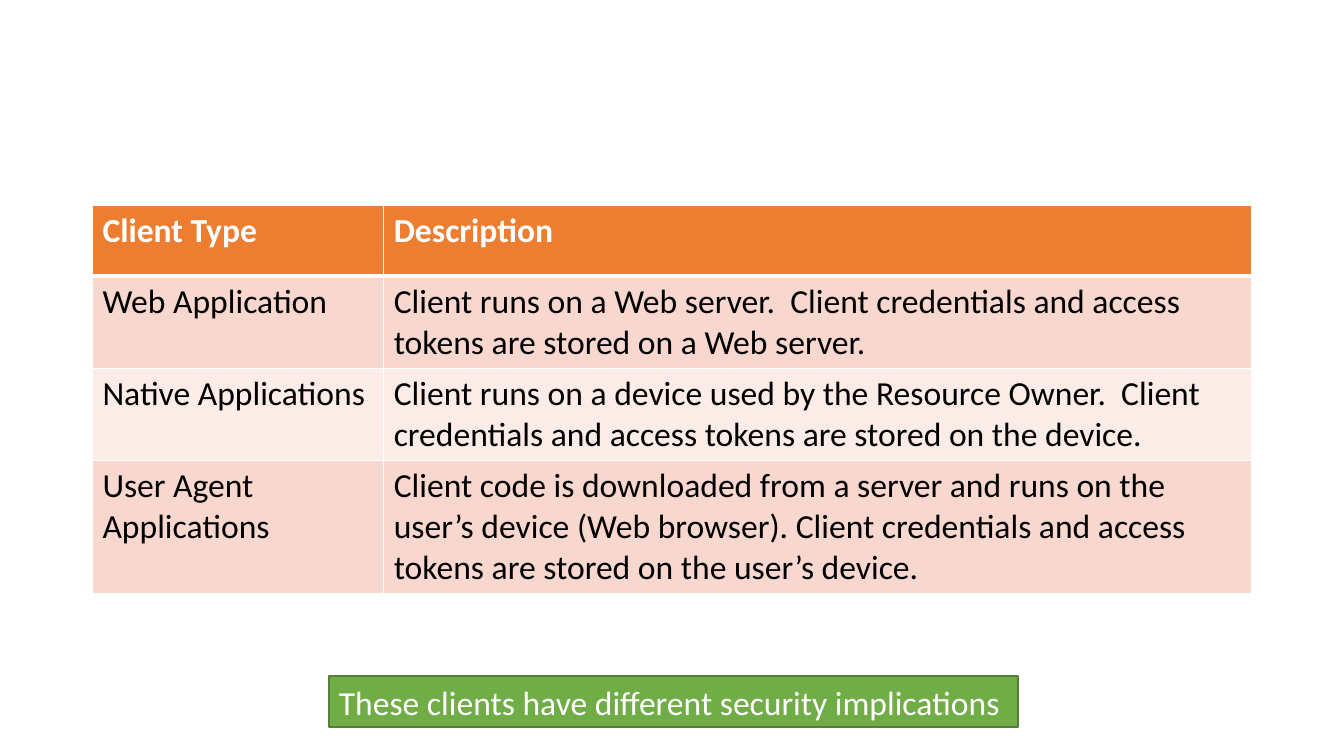
from lxml.etree import SubElement
from pptx import Presentation
from pptx.dml.color import RGBColor
from pptx.enum.shapes import MSO_SHAPE as Shape
from pptx.enum.text import MSO_ANCHOR as Anchor, PP_ALIGN as Align
from pptx.oxml.ns import qn
from pptx.util import Cm, Pt

WHITE = RGBColor(0xFF, 0xFF, 0xFF)
BLACK = RGBColor(0x00, 0x00, 0x00)
ORANGE = RGBColor(0xED, 0x7D, 0x31)
ROSE = RGBColor(0xF8, 0xD7, 0xCE)
PALE_ROSE = RGBColor(0xFC, 0xEC, 0xE8)
GREEN = RGBColor(0x70, 0xAD, 0x47)
DARK_GREEN = RGBColor(0x53, 0x80, 0x35)

CLIENT_TYPES = [
    ("Client Type", "Description"),
    ("Web Application",
     "Client runs on a Web server.  Client credentials and access tokens "
     "are stored on a Web server."),
    ("Native Applications",
     "Client runs on a device used by the Resource Owner.  Client "
     "credentials and access tokens are stored on the device."),
    ("User Agent Applications",
     "Client code is downloaded from a server and runs on the user’s device "
     "(Web browser). Client credentials and access tokens are stored on the "
     "user’s device."),
]


def write(frame, text, color=BLACK, bold=False, size=24, font="Calibri"):
    frame.word_wrap = True
    paragraph = frame.paragraphs[0]
    paragraph.alignment = Align.LEFT
    run = paragraph.add_run()
    run.text = text
    run.font.name = font
    run.font.size = Pt(size)
    run.font.bold = bold
    run.font.color.rgb = color


def set_borders(cell, **widths):
    """Draw white borders; widths in points by side, in the order L, R, T, B."""
    properties = cell._tc.get_or_add_tcPr()
    for side, width in widths.items():
        line = SubElement(properties, qn(f"a:ln{side}"), w=str(Pt(width)))
        fill = SubElement(line, qn("a:solidFill"))
        SubElement(fill, qn("a:srgbClr"), val=str(WHITE))


class ClientSlide:
    def __init__(self, presentation):
        self.slide = presentation.slides.add_slide(presentation.slide_layouts[6])

    def table(self, rows, left, top, widths, heights, height):
        frame = self.slide.shapes.add_table(
            len(rows), len(widths), Cm(left), Cm(top), Cm(sum(widths)), Cm(height))
        table = frame.table
        table.horz_banding = False
        for column, width in zip(table.columns, widths):
            column.width = Cm(width)
        for index, (row, row_height, texts) in enumerate(
                zip(table.rows, heights, rows)):
            row.height = Cm(row_height)
            header = index == 0
            band = ORANGE if header else (PALE_ROSE, ROSE)[index % 2]
            for cell, text in zip(row.cells, texts):
                set_borders(cell, L=1, R=1, T=3 if index == 1 else 1,
                            B=3 if header else 1)
                cell.fill.solid()
                cell.fill.fore_color.rgb = band
                write(cell.text_frame, text, WHITE if header else BLACK, header)

    def banner(self, text, left, top, width, height):
        box = self.slide.shapes.add_shape(
            Shape.RECTANGLE, Cm(left), Cm(top), Cm(width), Cm(height))
        box.shadow.inherit = False
        box.fill.solid()
        box.fill.fore_color.rgb = GREEN
        box.line.color.rgb = DARK_GREEN
        box.line.width = Pt(1)
        box.text_frame.vertical_anchor = Anchor.MIDDLE
        write(box.text_frame, text, WHITE)


def main():
    presentation = Presentation()
    presentation.slide_width = Cm(33.87)
    presentation.slide_height = Cm(19.05)
    slide = ClientSlide(presentation)
    slide.table(CLIENT_TYPES, left=2.33, top=5.18, widths=(7.34, 21.87),
                heights=(1.78, 1.93, 1.93, 1.93), height=9.65)
    slide.banner("These clients have different security implications",
                 left=8.29, top=17.04, width=17.37, height=1.28)
    presentation.save("out.pptx")


if __name__ == "__main__":
    main()
